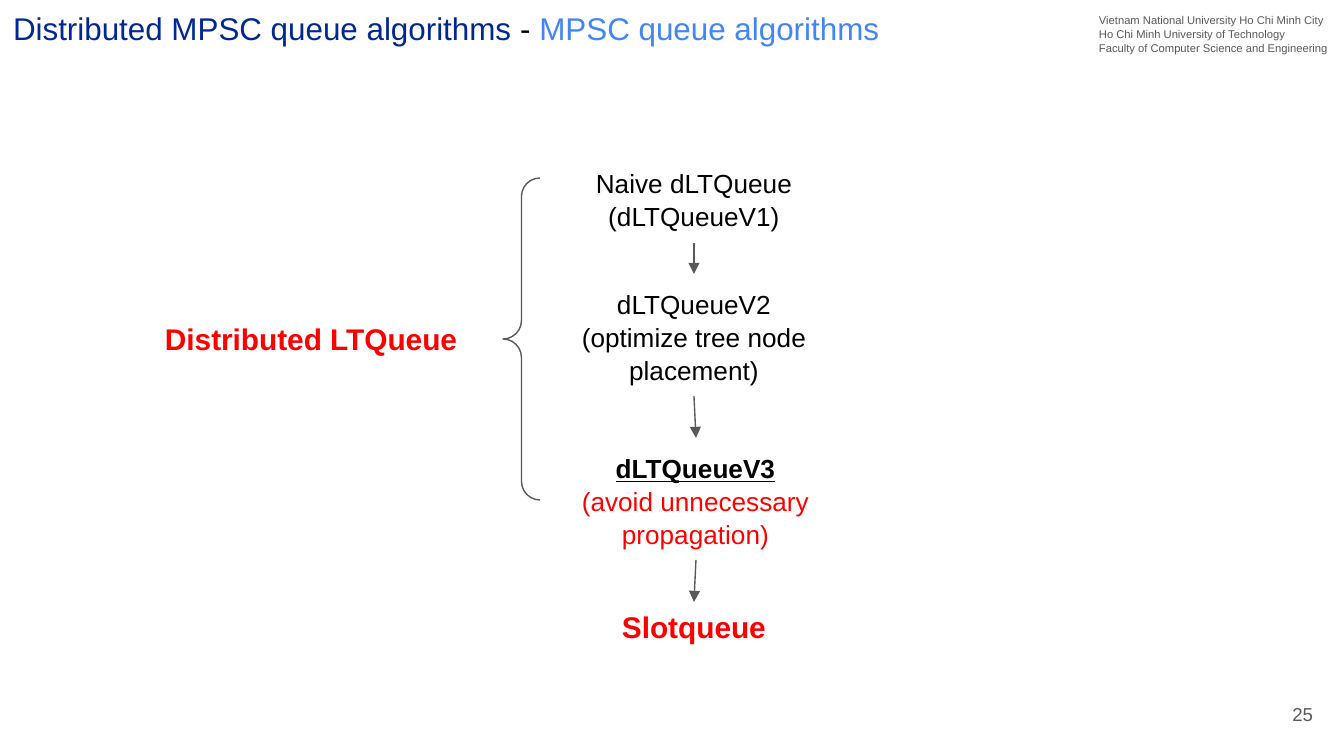
from lxml.etree import SubElement
from pptx import Presentation
from pptx.dml.color import RGBColor
from pptx.enum.shapes import MSO_CONNECTOR, MSO_SHAPE
from pptx.enum.text import MSO_ANCHOR, MSO_AUTO_SIZE, PP_ALIGN
from pptx.oxml.ns import qn
from pptx.util import Pt

EMU_PER_PX = 914400 / 134.4
NAVY = RGBColor(0x00, 0x27, 0x92)
BLUE = RGBColor(0x42, 0x85, 0xF4)
RED = RGBColor(0xFF, 0x00, 0x00)
GRAY = RGBColor(0x59, 0x59, 0x59)
BLACK = RGBColor(0x00, 0x00, 0x00)


def px(*lengths):
    return [round(length * EMU_PER_PX) for length in lengths]


def add_run(paragraph, text, size=14, color=BLACK, bold=False, underline=False):
    run = paragraph.add_run()
    run.text = text
    run.font.name = "Arial"
    run.font.size = Pt(size)
    run.font.color.rgb = color
    run.font.bold = bold
    run.font.underline = underline


class SlideBuilder:
    font = "Arial"
    line_color = GRAY
    line_width = Pt(0.75)
    inset = 13

    def __init__(self, slide):
        self.slide = slide

    def frame(self, shape, anchor):
        frame = shape.text_frame
        frame.word_wrap = True
        frame.auto_size = MSO_AUTO_SIZE.NONE
        frame.vertical_anchor = anchor
        [inset] = px(self.inset)
        frame.margin_left = frame.margin_right = inset
        frame.margin_top = frame.margin_bottom = inset
        return frame

    def title(self, box, parts):
        title = self.slide.shapes.title
        title.left, title.top, title.width, title.height = px(*box)
        paragraph = self.frame(title, MSO_ANCHOR.BOTTOM).paragraphs[0]
        paragraph.alignment = PP_ALIGN.LEFT
        for text, color in parts:
            add_run(paragraph, text, size=16.8, color=color)

    def text(self, box, lines, align=PP_ALIGN.CENTER, anchor=MSO_ANCHOR.TOP):
        frame = self.frame(self.slide.shapes.add_textbox(*px(*box)), anchor)
        for index, (text, style) in enumerate(lines):
            paragraph = frame.add_paragraph() if index else frame.paragraphs[0]
            paragraph.alignment = align
            paragraph.line_spacing = 1.05
            add_run(paragraph, text, **style)

    def arrow(self, start, end):
        arrow = self.slide.shapes.add_connector(
            MSO_CONNECTOR.STRAIGHT, *px(*start, *end))
        self.outline(arrow)
        SubElement(arrow.line._get_or_add_ln(), qn("a:tailEnd"), type="triangle")
        SubElement(arrow._element.spPr, qn("a:effectLst"))

    def brace(self, box):
        brace = self.slide.shapes.add_shape(MSO_SHAPE.LEFT_BRACE, *px(*box))
        brace.adjustments[0] = 0.5
        brace.adjustments[1] = 0.5
        brace.shadow.inherit = False
        brace.fill.background()
        self.outline(brace)

    def outline(self, shape):
        shape.line.color.rgb = self.line_color
        shape.line.width = self.line_width


def main():
    presentation = Presentation()
    presentation.slide_width, presentation.slide_height = px(1344, 756)
    slide = presentation.slides.add_slide(presentation.slide_layouts[5])
    builder = SlideBuilder(slide)

    builder.title((0, 0, 962, 60), [
        ("Distributed MPSC queue algorithms ", NAVY),
        ("-", BLACK),
        (" MPSC queue algorithms", BLUE),
    ])
    small = {"size": 6, "color": GRAY}
    builder.text((1086, 0, 258, 67), [
        ("Vietnam National University Ho Chi Minh City", small),
        ("Ho Chi Minh University of Technology", small),
        ("Faculty of Computer Science and Engineering", small),
    ], align=PP_ALIGN.LEFT)
    builder.text((1246, 685, 80, 58), [("25", {"size": 10, "color": GRAY})],
                 align=PP_ALIGN.RIGHT, anchor=MSO_ANCHOR.MIDDLE)

    heading = {"size": 16, "color": RED, "bold": True}
    builder.text((152, 306, 352, 63), [("Distributed LTQueue", heading)],
                 align=PP_ALIGN.LEFT)
    stages = [
        ((546, 153, 296, 90), [("Naive dLTQueue", {}), ("(dLTQueueV1)", {})]),
        ((546, 274, 296, 122), [("dLTQueueV2", {}),
                                ("(optimize tree node placement)", {})]),
        ((522, 438, 347, 122), [
            ("dLTQueueV3", {"bold": True, "underline": True}),
            ("(avoid unnecessary propagation)", {"color": RED})]),
        ((546, 594, 296, 63), [("Slotqueue", heading)]),
    ]
    for box, lines in stages:
        builder.text(box, lines)

    for start, end in [((694, 243), (694, 274)),
                       ((694, 396), (696, 438)),
                       ((696, 560), (694, 602))]:
        builder.arrow(start, end)
    builder.brace((503, 178, 37, 322))

    presentation.save("out.pptx")


if __name__ == "__main__":
    main()
